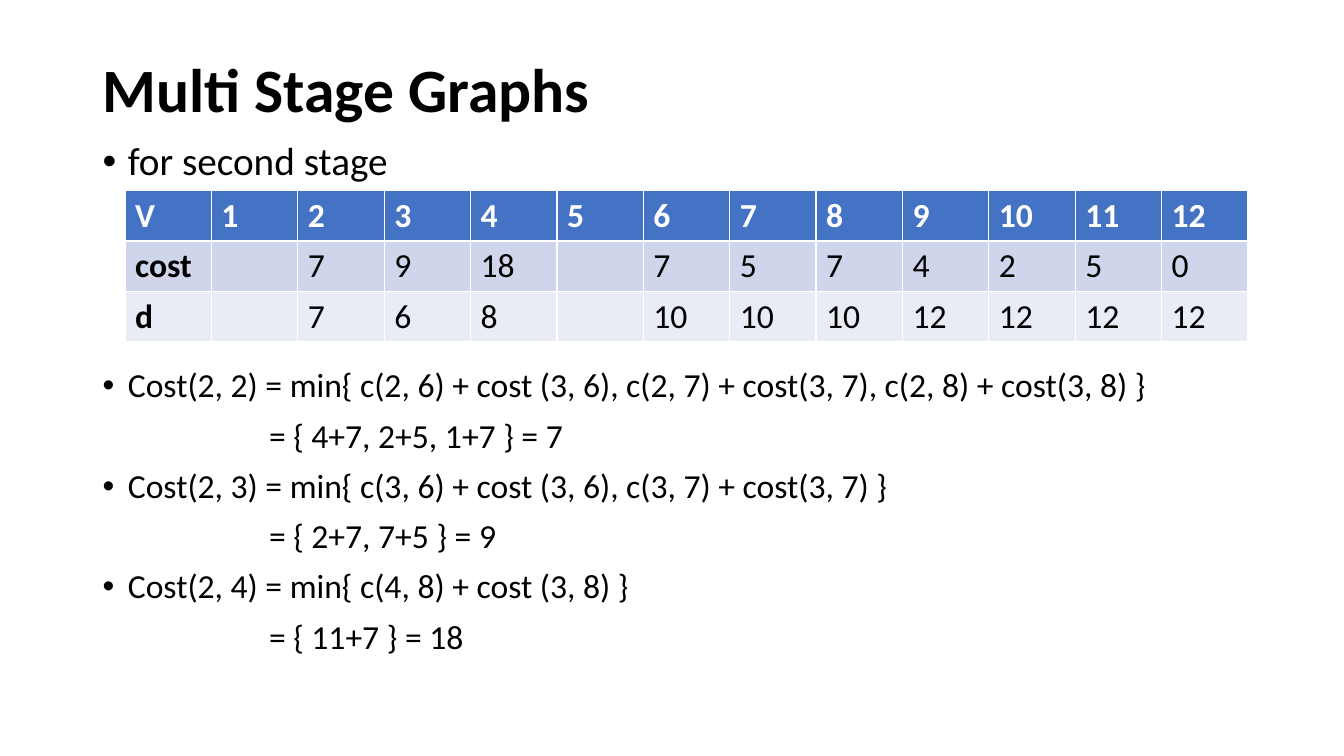
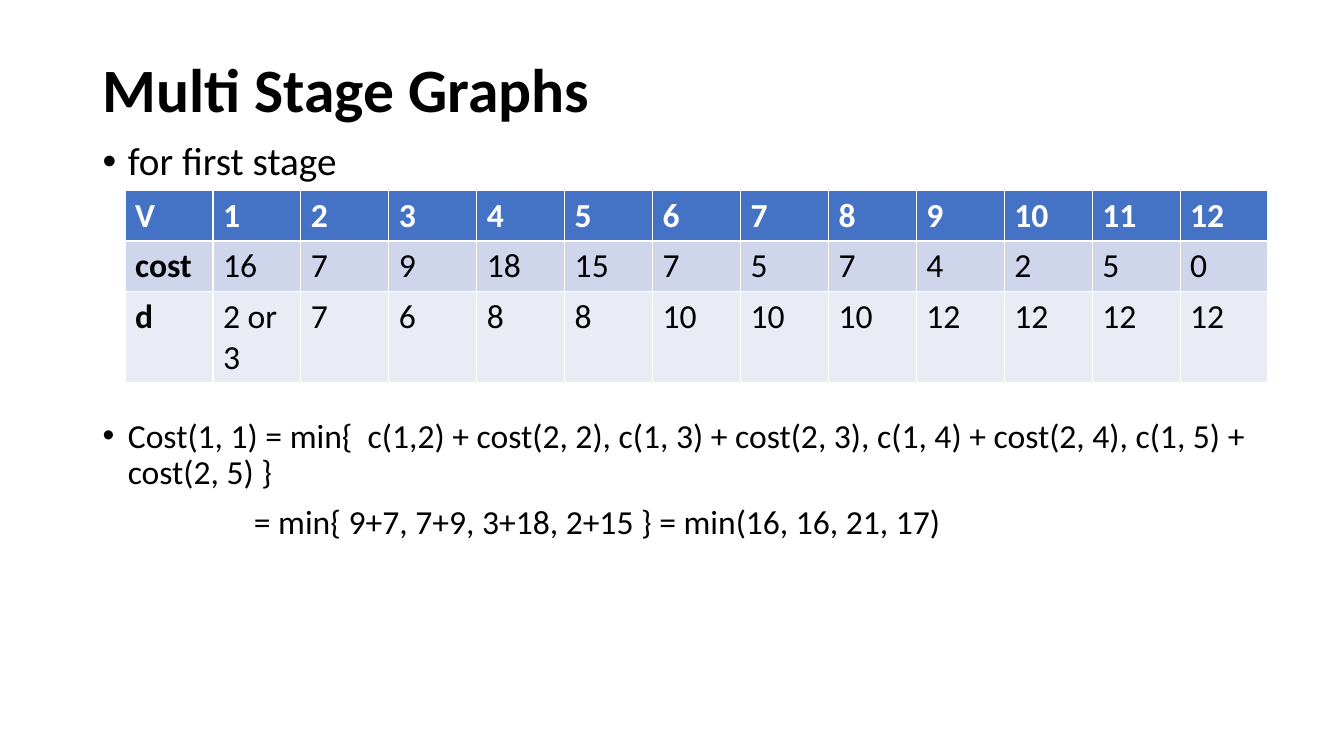
from lxml import etree
from pptx import Presentation
from pptx.dml.color import RGBColor
from pptx.enum import text
from pptx.oxml.ns import qn
from pptx.util import Inches, Pt

TITLE = "Multi Stage Graphs"
VERTICES = ["V", *range(1, 13)]

# Formula lines are (text, is_bulleted).
STAGES = [
    {
        "heading": "for second stage",
        "table_width": 11.14,
        "rows": [
            VERTICES,
            ["cost", "", 7, 9, 18, "", 7, 5, 7, 4, 2, 5, 0],
            ["d", "", 7, 6, 8, "", 10, 10, 10, 12, 12, 12, 12],
        ],
        "formula_top": 3.61,
        "result_indent": 1.65,
        "formulas": [
            ("Cost(2, 2) = min{ c(2, 6) + cost (3, 6), c(2, 7) + cost(3, 7), c(2, 8) + cost(3, 8) }", True),
            ("= { 4+7, 2+5, 1+7 } = 7", False),
            ("Cost(2, 3) = min{ c(3, 6) + cost (3, 6), c(3, 7) + cost(3, 7) }", True),
            ("= { 2+7, 7+5 } = 9", False),
            ("Cost(2, 4) = min{ c(4, 8) + cost (3, 8) }", True),
            ("= { 11+7 } = 18", False),
        ],
    },
    {
        "heading": "for first stage",
        "table_width": 11.34,
        "rows": [
            VERTICES,
            ["cost", 16, 7, 9, 18, 15, 7, 5, 7, 4, 2, 5, 0],
            ["d", "2 or 3", 7, 6, 8, 8, 10, 10, 10, 12, 12, 12, 12],
        ],
        "formula_top": 4.11,
        "result_indent": 1.5,
        "formulas": [
            ("Cost(1, 1) = min{  c(1,2) + cost(2, 2), c(1, 3) + cost(2, 3), "
             "c(1, 4) + cost(2, 4), c(1, 5) + cost(2, 5) }", True),
            ("= min{ 9+7, 7+9, 3+18, 2+15 } = min(16, 16, 21, 17)", False),
        ],
    },
]

FONT = "Calibri"
BLACK = RGBColor(0x00, 0x00, 0x00)
WHITE = RGBColor(0xFF, 0xFF, 0xFF)
ROW_FILLS = [
    RGBColor(0x44, 0x72, 0xC4),
    RGBColor(0xCF, 0xD5, 0xEA),
    RGBColor(0xE9, 0xEB, 0xF5),
]
LEFT = 0.92
BODY_WIDTH = 12.03
BULLET_INDENT = 0.25
TABLE_LEFT, TABLE_TOP, ROW_HEIGHT = 1.24, 1.89, 0.5


def format_runs(paragraph, size, color=BLACK, bold=False):
    for run in paragraph.runs:
        run.font.name = FONT
        run.font.size = Pt(size)
        run.font.bold = bold
        run.font.color.rgb = color


def set_indent(paragraph, margin, bulleted):
    properties = paragraph._p.get_or_add_pPr()
    properties.set("marL", str(Inches(margin)))
    properties.set("indent", str(-Inches(margin) if bulleted else 0))
    if bulleted:
        etree.SubElement(properties, qn("a:buFont")).set("typeface", "Arial")
        etree.SubElement(properties, qn("a:buChar")).set("char", "•")


def add_title(slide):
    title = slide.shapes.title
    title.left, title.top = Inches(LEFT), Inches(0.4)
    title.width, title.height = Inches(11.5), Inches(1.03)
    frame = title.text_frame
    frame.text = TITLE
    frame.vertical_anchor = text.MSO_ANCHOR.MIDDLE
    paragraph = frame.paragraphs[0]
    paragraph.alignment = text.PP_ALIGN.LEFT
    paragraph.line_spacing = 0.9
    format_runs(paragraph, 44, bold=True)


def add_lines(slide, lines, top, height, size, result_indent=0):
    """Add a text box of bulleted lines and indented results."""
    box = slide.shapes.add_textbox(
        Inches(LEFT), Inches(top), Inches(BODY_WIDTH), Inches(height))
    frame = box.text_frame
    frame.word_wrap = True
    for index, (line, bulleted) in enumerate(lines):
        paragraph = frame.add_paragraph() if index else frame.paragraphs[0]
        paragraph.text = line
        set_indent(paragraph, BULLET_INDENT if bulleted else result_indent, bulleted)
        paragraph.line_spacing = 0.9
        if index:
            paragraph.space_before = Pt(10)
        format_runs(paragraph, size)


def add_cost_table(slide, rows, width):
    table = slide.shapes.add_table(
        len(rows), len(rows[0]), Inches(TABLE_LEFT), Inches(TABLE_TOP),
        Inches(width), Inches(ROW_HEIGHT * len(rows))).table
    table.first_col = True
    for row_index, (values, fill) in enumerate(zip(rows, ROW_FILLS)):
        is_header = row_index == 0
        for column_index, value in enumerate(values):
            cell = table.cell(row_index, column_index)
            cell.fill.solid()
            cell.fill.fore_color.rgb = fill
            cell.text_frame.text = str(value)
            format_runs(cell.text_frame.paragraphs[0], 24,
                        WHITE if is_header else BLACK,
                        bold=is_header or column_index == 0)


def main():
    presentation = Presentation()
    presentation.slide_width = Inches(13.33)
    presentation.slide_height = Inches(7.5)
    title_only = presentation.slide_layouts[5]
    for stage in STAGES:
        slide = presentation.slides.add_slide(title_only)
        add_title(slide)
        add_lines(slide, [(stage["heading"], True)], 1.36, 0.53, 28)
        add_cost_table(slide, stage["rows"], stage["table_width"])
        top = stage["formula_top"]
        add_lines(slide, stage["formulas"], top, 7.38 - top, 24,
                  stage["result_indent"])
    presentation.save("out.pptx")


if __name__ == "__main__":
    main()
